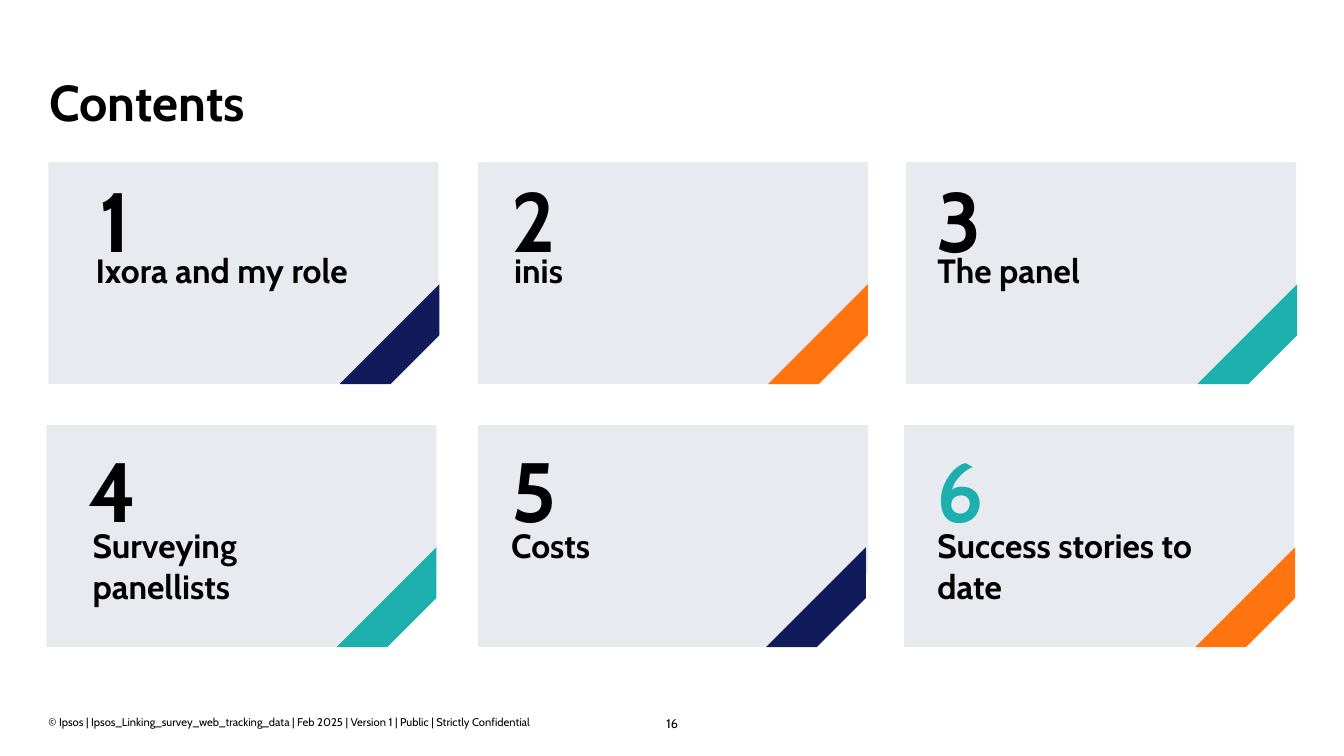
from pptx import Presentation
from pptx.dml.color import RGBColor
from pptx.enum.shapes import MSO_SHAPE
from pptx.enum.text import MSO_ANCHOR, PP_ALIGN
from pptx.util import Pt

CARD, STRIPE = MSO_SHAPE.SNIP_1_RECTANGLE, MSO_SHAPE.DIAGONAL_STRIPE
LEFT, CENTER = PP_ALIGN.LEFT, PP_ALIGN.CENTER
TOP, BOTTOM = MSO_ANCHOR.TOP, MSO_ANCHOR.BOTTOM
COLORS = {"black": "000000", "card": "E7EBF0", "navy": "121B5A",
          "orange": "FF740F", "teal": "1DAFAD"}
FONT = "Cabin"
CARD_W, CARD_H, STRIPE_SIZE = 278.6, 158.4, 71.3

ROWS = [
    {"top": 115.9, "number_dy": -10, "label_dy": 62.6, "cards": [
        (34.6, "1", "Ixora and my role", "navy", "black", 36.7, 33.8, 0.7),
        (341.3, "2", "inis", "orange", "black", 23.8, 25.9, 0),
        (647.3, "3", "The panel", "teal", "black", 21.6, 22.3, 0.7)]},
    {"top": 303.8, "number_dy": -5, "label_dy": 71.3, "cards": [
        (33.1, "4", "Surveying panellists", "teal", "black", 30.3, 33.1, 0),
        (341.3, "5", "Costs", "navy", "black", 23.8, 23.8, -1.4),
        (645.8, "6", "Success stories to date", "orange", "teal", 23.1, 23.8, 0.7)]},
]


def write(sp, text, size, color="black", bold=False, align=LEFT, spacing=1.0,
          anchor=TOP):
    """Fill a shape with one formatted paragraph."""
    tf = sp.text_frame
    frame = {"word_wrap": True, "vertical_anchor": anchor, "margin_left": 0,
             "margin_right": 0, "margin_top": 0, "margin_bottom": 0}
    for name, value in frame.items():
        setattr(tf, name, value)
    p = tf.paragraphs[0]
    for name, value in {"alignment": align, "line_spacing": spacing}.items():
        setattr(p, name, value)
    r = p.add_run()
    r.text = text
    for name, value in {"name": FONT, "size": Pt(size), "bold": bold}.items():
        setattr(r.font, name, value)
    r.font.color.rgb = RGBColor.from_string(COLORS[color])


def add_text(slide, box, text, size, **fmt):
    """Add a text box at the given left, top, width and height."""
    write(slide.shapes.add_textbox(*map(Pt, box)), text, size, **fmt)


def add_block(slide, kind, box, color, adjust):
    """Add a plain filled preset shape and return it."""
    sp = slide.shapes.add_shape(kind, *map(Pt, box))
    sp.adjustments[0] = adjust
    sp.shadow.inherit = False
    sp.fill.solid()
    sp.fill.fore_color.rgb = RGBColor.from_string(COLORS[color])
    sp.line.fill.background()
    return sp


def add_card(slide, box, card, number_dy, label_dy):
    """Place a contents card with its corner stripe, number and label."""
    x, y, w, h = box
    number, label, stripe, number_color, number_dx, label_dx, stripe_dx = card
    sp = add_block(slide, CARD, box, "card", 0.333)
    sp._element.spPr.get_or_add_xfrm().set("flipV", "1")
    corner = (x + w - STRIPE_SIZE + stripe_dx, y + h - STRIPE_SIZE,
              STRIPE_SIZE, STRIPE_SIZE)
    add_block(slide, STRIPE, corner, stripe, 0.491).rotation = 180
    add_text(slide, (x + number_dx, y + number_dy, 40, 77.8), number, 60,
             color=number_color, bold=True, spacing=1.2)
    label_w = 196 if x < 40 else 215.3
    add_text(slide, (x + label_dx, y + label_dy, label_w, 58), label, 24, bold=True)


def add_title(slide, box, text):
    """Move and format the title placeholder."""
    sp = slide.shapes.title
    sp.left, sp.top, sp.width, sp.height = map(Pt, box)
    write(sp, text, 36, bold=True, spacing=0.9)


def add_footer(slide, box):
    """Place the copyright line and the page number."""
    x, y, w, h = box
    add_text(slide, (x, y + 0.7, 368, h - 1.4),
             "© Ipsos | Ipsos_Linking_survey_web_tracking_data | Feb 2025 | "
             "Version 1 | Public | Strictly Confidential", 8, anchor=BOTTOM)
    add_text(slide, (x + w / 2 - 19.4, y, 38.9, h), "16", 9,
             align=CENTER, spacing=1.1)


def main():
    """Build the contents slide."""
    prs = Presentation()
    prs.slide_width, prs.slide_height = Pt(960), Pt(540)
    slide = prs.slides.add_slide(prs.slide_layouts[5])
    add_title(slide, (35.3, 55.4, 890, 56.2), "Contents")
    for row in ROWS:
        for left, *card in row["cards"]:
            add_card(slide, (left, row["top"], CARD_W, CARD_H), card,
                     row["number_dy"], row["label_dy"])
    add_footer(slide, (34.6, 510.5, 891, 10.8))
    prs.save("out.pptx")


if __name__ == "__main__":
    main()
